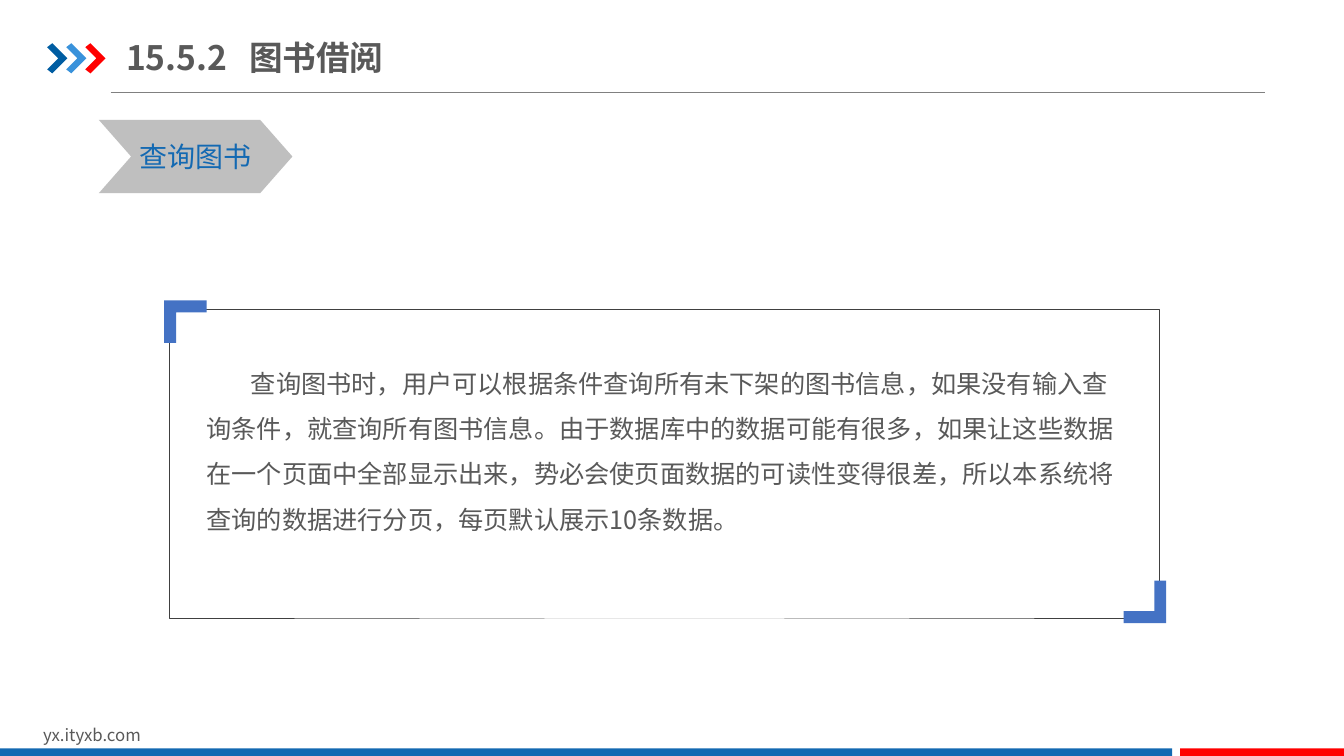
from dataclasses import dataclass
from typing import Any

from lxml import etree
from pptx import Presentation
from pptx import util as u
from pptx.dml.color import RGBColor
from pptx.enum import shapes, text
from pptx.oxml.ns import qn


@dataclass(frozen=True)
class Theme:
    font: str = "Noto Sans CJK SC"
    ink: str = "595959"
    blue: str = "1369B2"
    red: str = "FF0000"
    navy: str = "005DA2"
    sky: str = "3992DB"
    corner: str = "4472C4"
    tag: str = "BFBFBF"
    rule: str = "808080"
    frame: str = "404040"
    title_size: float = 24
    tag_size: float = 20
    body_size: float = 18
    footer_size: float = 12


@dataclass(frozen=True)
class Box:
    left: float
    top: float
    width: float
    height: float

    def lengths(self) -> list[u.Length]:
        return [u.Cm(v) for v in (self.left, self.top, self.width, self.height)]


@dataclass(frozen=True)
class Block:
    box: Box
    color: str
    kind: Any = shapes.MSO_SHAPE.RECTANGLE


@dataclass(frozen=True)
class Outline:
    left: float
    top: float
    points: tuple[tuple[float, float], ...]
    color: str
    direction: int = 1


THEME = Theme()
CHEVRON = ((0, 0.1), (0.13, 0), (0.51, 0.38), (0.13, 0.76), (0, 0.66), (0.28, 0.38))
CORNER = ((0, 0), (1.07, 0), (1.07, 0.3), (0.3, 0.3), (0.3, 1.07), (0, 1.07))
CHEVRON_STEP = 0.48

TAG = Block(Box(2.49, 3.02, 4.88, 1.85), THEME.tag, shapes.MSO_SHAPE.CHEVRON)
FOOTER_BARS = (
    Block(Box(0, 18.86, 29.54, 0.22), THEME.blue),
    Block(Box(29.74, 18.86, 4.13, 0.22), THEME.red),
)
OUTLINES = [
    Outline(1.19 + i * CHEVRON_STEP, 1.09, CHEVRON, color)
    for i, color in enumerate((THEME.navy, THEME.sky, THEME.red))
] + [
    Outline(4.14, 7.57, CORNER, THEME.corner),
    Outline(29.39, 15.7, CORNER, THEME.corner, -1),
]
BODY = (
    "查询图书时，用户可以根据条件查询所有未下架的图书信息，如果没有输入查询条件，"
    "就查询所有图书信息。由于数据库中的数据可能有很多，如果让这些数据在一个页面中全部显示出来，"
    "势必会使页面数据的可读性变得很差，所以本系统将查询的数据进行分页，每页默认展示10条数据。"
)


def apply(target: Any, values: dict[str, Any]) -> None:
    for name, value in values.items():
        setattr(target, name, value)


def paint(shape: Any, color: str) -> None:
    shape.shadow.inherit = False
    shape.fill.solid()
    shape.fill.fore_color.rgb = RGBColor.from_string(color)
    shape.line.fill.background()


def place(shape: Any, box: Box) -> None:
    apply(shape, dict(zip(("left", "top", "width", "height"), box.lengths())))


def write(shape: Any, words: str, size: float, color: str, frame: dict[str, Any],
          layout: dict[str, Any], bold: bool = False) -> Any:
    apply(shape.text_frame, {"auto_size": text.MSO_AUTO_SIZE.NONE, "word_wrap": True, **frame})
    paragraph = shape.text_frame.paragraphs[0]
    apply(paragraph, {"alignment": text.PP_ALIGN.LEFT, "space_before": u.Pt(0), **layout})
    run = paragraph.add_run()
    run.text = words
    apply(run.font, {"name": THEME.font, "size": u.Pt(size), "bold": bold})
    run.font.color.rgb = RGBColor.from_string(color)
    etree.SubElement(run.font._element, qn("a:ea")).set("typeface", THEME.font)
    return paragraph


def add_block(slide: Any, block: Block) -> Any:
    shape = slide.shapes.add_shape(block.kind, *block.box.lengths())
    paint(shape, block.color)
    return shape


def add_outline(slide: Any, outline: Outline) -> None:
    points = [
        (u.Cm(outline.left + outline.direction * x), u.Cm(outline.top + outline.direction * y))
        for x, y in outline.points
    ]
    builder = slide.shapes.build_freeform(*points[0])
    builder.add_line_segments(points[1:], close=True)
    paint(builder.convert_to_shape(), outline.color)


def add_rule(slide: Any) -> None:
    rule = slide.shapes.add_connector(
        shapes.MSO_CONNECTOR.STRAIGHT, u.Cm(2.79), u.Cm(2.33), u.Cm(31.88), u.Cm(2.33))
    rule.line.color.rgb = RGBColor.from_string(THEME.rule)
    rule.line.width = u.Pt(0.5)
    etree.SubElement(rule._element.spPr, qn("a:effectLst"))


def add_frame(slide: Any) -> None:
    frame = slide.shapes.add_shape(
        shapes.MSO_SHAPE.RECTANGLE, *Box(4.27, 7.8, 24.94, 7.77).lengths())
    frame.shadow.inherit = False
    frame.fill.background()
    frame.line.color.rgb = RGBColor.from_string(THEME.frame)
    frame.line.width = u.Pt(0.25)


def add_title(slide: Any) -> None:
    title = slide.shapes.title
    place(title, Box(3.18, 0.74, 7.44, 1.4))
    paragraph = write(
        title, "15.5.2\t图书借阅", THEME.title_size, THEME.ink,
        {"margin_left": 0, "margin_right": 0, "vertical_anchor": text.MSO_ANCHOR.MIDDLE},
        {}, bold=True)
    tabs = etree.SubElement(paragraph._p.get_or_add_pPr(), qn("a:tabLst"))
    apply_tab = etree.SubElement(tabs, qn("a:tab"))
    apply_tab.set("pos", str(u.Cm(3.1)))
    apply_tab.set("algn", "l")


def add_body(slide: Any) -> None:
    body = slide.placeholders[1]
    place(body, Box(4.95, 8.76, 23.67, 5.97))
    paragraph = write(
        body, BODY, THEME.body_size, THEME.ink,
        {"vertical_anchor": text.MSO_ANCHOR.TOP}, {"line_spacing": 1.5})
    properties = paragraph._p.get_or_add_pPr()
    etree.SubElement(properties, qn("a:buNone"))
    properties.set("marL", "0")
    properties.set("indent", str(u.Cm(1.12)))


def main() -> None:
    presentation = Presentation()
    apply(presentation, {"slide_width": u.Cm(33.87), "slide_height": u.Cm(19.05)})
    slide = presentation.slides.add_slide(presentation.slide_layouts[1])

    add_rule(slide)
    add_title(slide)
    add_body(slide)
    add_frame(slide)
    for outline in OUTLINES:
        add_outline(slide, outline)
    for bar in FOOTER_BARS:
        add_block(slide, bar)

    tag = add_block(slide, TAG)
    tag.adjustments[0] = 0.44
    write(tag, "查询图书", THEME.tag_size, THEME.blue,
          {"word_wrap": False, "vertical_anchor": text.MSO_ANCHOR.MIDDLE},
          {"alignment": text.PP_ALIGN.CENTER})

    footer = slide.shapes.add_textbox(*Box(0.84, 18.14, 8.08, 0.76).lengths())
    write(footer, "yx.ityxb.com", THEME.footer_size, THEME.ink, {}, {})

    presentation.save("out.pptx")


if __name__ == "__main__":
    main()
